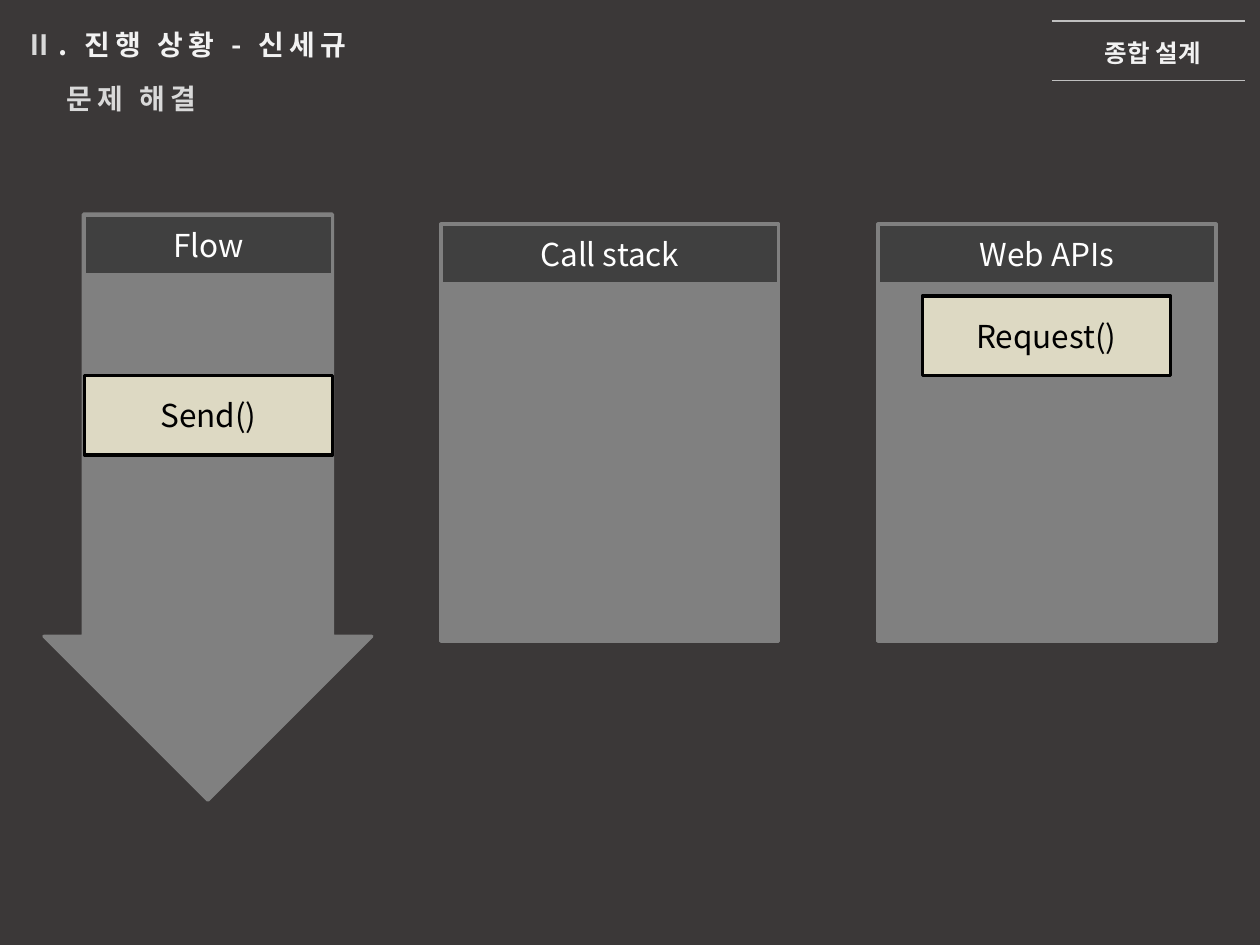
from dataclasses import dataclass

from lxml import etree
from pptx import Presentation
from pptx import util as u
from pptx.dml.color import RGBColor
from pptx.enum import shapes, text
from pptx.oxml.ns import qn

FONT = "Noto Sans CJK KR"
COLORS = {
    "background": "3B3838", "panel": "808080", "header": "404040",
    "call": "DDD9C3", "black": "000000", "white": "FFFFFF",
    "heading": "F2F2F2", "muted": "D9D9D9", "rule": "BFBFBF",
}
HEADER_HEIGHT = 33.84
CALL_WIDTH, CALL_HEIGHT = 141.84, 45.36


@dataclass
class Box:
    left: float
    top: float
    width: float
    height: float

    def points(self) -> list:
        return [u.Pt(v) for v in (self.left, self.top, self.width, self.height)]


@dataclass
class Style:
    fill: str
    line: str
    ink: str = "white"


@dataclass
class Panel:
    label: str
    left: float


PANEL = Style("panel", "panel")
HEADER = Style("header", "panel")
CALL = Style("call", "black", "black")


def rgb(name: str) -> RGBColor:
    return RGBColor.from_string(COLORS[name])


def add_words(paragraph, words: str, ink: str, size: float,
              bold: bool = False, spacing: float = 0) -> None:
    run = paragraph.add_run()
    run.text = words
    formats = {"name": FONT, "size": u.Pt(size), "bold": bold}
    for attribute, value in formats.items():
        setattr(run.font, attribute, value)
    run.font.color.rgb = rgb(ink)
    properties = run._r.get_or_add_rPr()
    if spacing:
        properties.set("spc", str(int(spacing * 100)))
    east_asian = etree.Element(qn("a:ea"), typeface=FONT)
    properties.find(qn("a:latin")).addnext(east_asian)


def set_frame(frame, align, wrap: bool = True):
    formats = {"word_wrap": wrap, "vertical_anchor": text.MSO_ANCHOR.TOP,
               "auto_size": text.MSO_AUTO_SIZE.SHAPE_TO_FIT_TEXT}
    for attribute, value in formats.items():
        setattr(frame, attribute, value)
    frame.paragraphs[0].alignment = align
    return frame.paragraphs[0]


def add_block(slide, box: Box, style: Style, label: str = "",
              kind=shapes.MSO_SHAPE.RECTANGLE):
    block = slide.shapes.add_shape(kind, *box.points())
    block.shadow.inherit = False
    block.fill.solid()
    block.fill.fore_color.rgb = rgb(style.fill)
    block.line.color.rgb = rgb(style.line)
    block.line.width = u.Pt(2)
    if label:
        block.text_frame.vertical_anchor = text.MSO_ANCHOR.MIDDLE
        paragraph = block.text_frame.paragraphs[0]
        paragraph.alignment = text.PP_ALIGN.CENTER
        add_words(paragraph, label, style.ink, 18)
    return block


def add_rule(slide, left: float, right: float, y: float) -> None:
    rule = slide.shapes.add_connector(
        shapes.MSO_CONNECTOR.STRAIGHT, u.Pt(left), u.Pt(y), u.Pt(right), u.Pt(y))
    rule.line.color.rgb = rgb("rule")
    rule.line.width = u.Pt(0.75)
    etree.SubElement(rule._element.spPr, qn("a:effectLst"))


def main() -> None:
    deck = Presentation()
    deck.slide_width, deck.slide_height = u.Pt(720), u.Pt(540)
    slide = deck.slides.add_slide(deck.slide_layouts[5])
    slide.background.fill.solid()
    slide.background.fill.fore_color.rgb = rgb("background")

    # Title and subtitle
    title = slide.shapes.title
    title.left, title.top, title.width, title.height = Box(7.2, 12.24, 282.24, 26.64).points()
    heading = set_frame(title.text_frame, text.PP_ALIGN.LEFT)
    add_words(heading, "Ⅱ", "muted", 16, True, 3)
    add_words(heading, ". 진행 상황 - 신세규", "heading", 16, True, 3)
    subtitle = slide.shapes.add_textbox(*Box(30.96, 43.2, 282.24, 26.64).points())
    add_words(set_frame(subtitle.text_frame, text.PP_ALIGN.LEFT),
              "문제 해결", "muted", 16, True, 3)

    # Course label between two rules
    course = slide.shapes.add_textbox(*Box(619.92, 18, 73.44, 23.04).points())
    add_words(set_frame(course.text_frame, text.PP_ALIGN.RIGHT, wrap=False),
              "종합 설계", "heading", 14, True)
    for y in (12, 46):
        add_rule(slide, 601.2, 711.36, y)

    # Call stack and Web APIs panels
    for panel in (Panel("Call stack", 252), Panel("Web APIs", 501.84)):
        add_block(slide, Box(panel.left, 128.16, 192.96, 238.32), PANEL)
        add_block(slide, Box(panel.left, 128.16, 192.96, HEADER_HEIGHT),
                  HEADER, panel.label)

    # Flow arrow
    flow = add_block(slide, Box(25.2, 122.4, 187.2, 334.8), PANEL,
                     kind=shapes.MSO_SHAPE.DOWN_ARROW)
    flow.adjustments[0], flow.adjustments[1] = 0.76, 0.5
    add_block(slide, Box(48.24, 123.12, CALL_WIDTH, HEADER_HEIGHT), HEADER, "Flow")

    # Function calls
    for label, left, top in (("Request()", 527.04, 169.2), ("Send()", 48.24, 214.56)):
        add_block(slide, Box(left, top, CALL_WIDTH, CALL_HEIGHT), CALL, label)

    deck.save("out.pptx")


if __name__ == "__main__":
    main()
